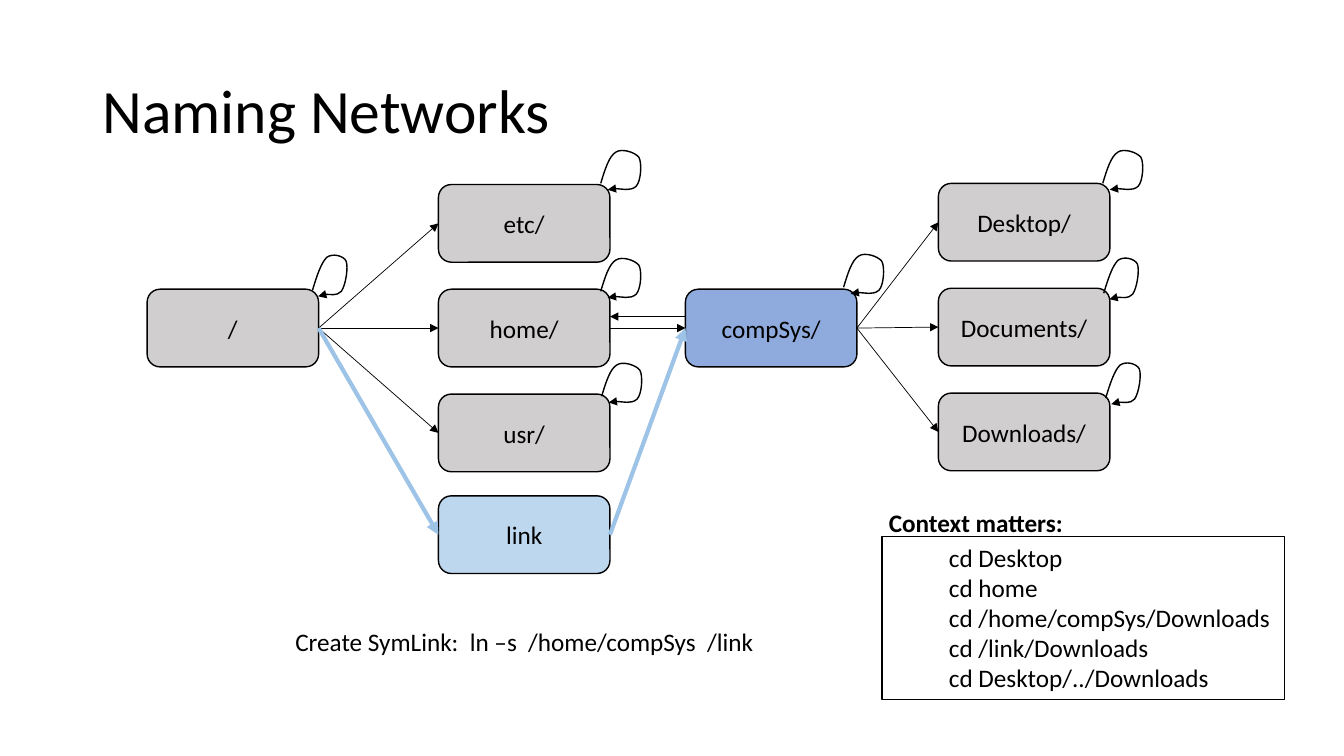
from dataclasses import dataclass

from lxml.etree import SubElement
from pptx import Presentation
from pptx.dml.color import RGBColor
from pptx.enum.shapes import MSO_CONNECTOR, MSO_SHAPE
from pptx.enum.text import MSO_ANCHOR, MSO_AUTO_SIZE, PP_ALIGN
from pptx.oxml.ns import qn
from pptx.util import Pt


@dataclass(frozen=True)
class Theme:
    font: str = "Calibri"
    ink: str = "000000"
    paper: str = "FFFFFF"
    folder: str = "D0CECE"
    target: str = "8FAADC"
    link: str = "BDD7EE"
    link_line: str = "9DC3E6"
    title: float = 44
    body: float = 18


T = Theme()

TITLE = "Naming Networks"
SYMLINK = "Create SymLink:  ln –s  /home/compSys  /link"
CONTEXT = "Context matters:"
COMMANDS = [
    "cd Desktop",
    "cd home",
    "cd /home/compSys/Downloads",
    "cd /link/Downloads",
    "cd Desktop/../Downloads",
]

# Columns of the graph: left edge, then (name, top, fill)
COLUMNS = [
    (105.1, [("/", 206.6, T.folder)]),
    (313.2, [("etc/", 131.8, T.folder), ("home/", 206.6, T.folder),
             ("usr/", 281.5, T.folder), ("link", 354.2, T.link)]),
    (489.6, [("compSys/", 206.6, T.target)]),
    (670.3, [("Desktop/", 131, T.folder), ("Documents/", 205.9, T.folder),
             ("Downloads/", 280.8, T.folder)]),
]
NODE_W, NODE_H = 122.5, 55.5

EDGES = [("/", "etc/"), ("/", "home/"), ("/", "usr/"), ("home/", "compSys/"),
         ("compSys/", "Desktop/"), ("compSys/", "Documents/"),
         ("compSys/", "Downloads/")]
LINK_EDGES = [("link", "compSys/"), ("/", "link")]
BACK_EDGE = ("compSys/", "home/")
BACK_DROP = 19.5

# Bezier points of a self-reference, measured from its start
WIDE = [(3, -10), (6, -19.5), (10.8, -22.3), (15, -25.2), (24.5, -22.3), (27.3, -18.5),
        (29.5, -14.4), (28.8, -1.5), (25.2, 2.2), (21, 5.8), (5, 2.2), (5, 4.5)]
NARROW = [(3, -10), (6.3, -20), (10.3, -23.6), (14.4, -26.6), (22, -24.8), (24, -20.9),
          (25.7, -16.8), (23.8, -3.6), (20.6, 0.7), (17.3, 4.3), (4.3, 1.6), (4, 4.3)]
LOOPS = [
    (223.2, 207.4, NARROW),
    (429.1, 131, WIDE),
    (429.1, 208.1, WIDE),
    (429.8, 283, WIDE),
    (602.6, 205.2, WIDE),
    (787.7, 131, WIDE),
    (788.4, 209.5, NARROW),
    (789.8, 284.4, NARROW),
]


def rgb(color):
    return RGBColor.from_string(color)


def box(*lengths):
    return [Pt(v) for v in lengths]


def write(sp, lines, size=T.body, bold=False, align=PP_ALIGN.LEFT,
          anchor=MSO_ANCHOR.TOP, wrap=True, indent=0, spacing=None):
    tf = sp.text_frame
    tf.auto_size = MSO_AUTO_SIZE.NONE
    tf.word_wrap = wrap
    tf.vertical_anchor = anchor
    for i, line in enumerate(lines):
        p = tf.add_paragraph() if i else tf.paragraphs[0]
        p.alignment = align
        if indent:
            p._p.get_or_add_pPr().set("marL", str(Pt(indent)))
        if spacing:
            p.line_spacing = spacing
        r = p.add_run()
        r.text = line
        r.font.name = T.font
        r.font.size = Pt(size)
        r.font.bold = bold
        r.font.color.rgb = rgb(T.ink)


def add_arrowhead(sp):
    SubElement(sp.line._get_or_add_ln(), qn("a:tailEnd"), type="triangle")


def add_arrow(shapes, start, end, color=T.ink, width=0.5):
    c = shapes.add_connector(MSO_CONNECTOR.STRAIGHT, *box(*start, *end))
    c.line.color.rgb = rgb(color)
    c.line.width = Pt(width)
    add_arrowhead(c)
    SubElement(c._element.spPr, qn("a:effectLst"))
    return c


def add_edge(shapes, source, dest, **style):
    c = add_arrow(shapes, (0, 0), (0, 0), **style)
    c.begin_connect(source, 3)
    c.end_connect(dest, 1)


def add_node(shapes, name, left, top, fill):
    sp = shapes.add_shape(MSO_SHAPE.ROUNDED_RECTANGLE, *box(left, top, NODE_W, NODE_H))
    sp.shadow.inherit = False
    sp.fill.solid()
    sp.fill.fore_color.rgb = rgb(fill)
    sp.line.color.rgb = rgb(T.ink)
    sp.line.width = Pt(1)
    write(sp, [name], align=PP_ALIGN.CENTER, anchor=MSO_ANCHOR.MIDDLE)
    return sp


def add_loop(shapes, x, y, offsets):
    """Draw a curved arrow, turning each three straight steps into one Bezier."""
    fb = shapes.build_freeform(Pt(x), Pt(y))
    fb.add_line_segments([box(x + dx, y + dy) for dx, dy in offsets], close=False)
    sp = fb.convert_to_shape()
    steps = list(sp._element.iter(qn("a:lnTo")))
    outline = steps[0].getparent()
    for i in range(0, len(steps), 3):
        curve = SubElement(outline, qn("a:cubicBezTo"))
        for step in steps[i:i + 3]:
            curve.append(step[0])
            outline.remove(step)
    sp.shadow.inherit = False
    sp.fill.background()
    sp.line.color.rgb = rgb(T.ink)
    sp.line.width = Pt(1)
    add_arrowhead(sp)


def main():
    prs = Presentation()
    prs.slide_width, prs.slide_height = box(960, 540)
    slide = prs.slides.add_slide(prs.slide_layouts[5])
    shapes = slide.shapes

    title = shapes.title
    title.left, title.top, title.width, title.height = box(66, 28.8, 828, 104.4)
    write(title, [TITLE], size=T.title, anchor=MSO_ANCHOR.MIDDLE, spacing=0.9)

    nodes = {name: add_node(shapes, name, left, top, fill)
             for left, column in COLUMNS for name, top, fill in column}
    for source, dest in EDGES:
        add_edge(shapes, nodes[source], nodes[dest])
    source, dest = (nodes[name] for name in BACK_EDGE)
    y = source.top.pt + BACK_DROP
    add_arrow(shapes, (source.left.pt, y), (dest.left.pt + NODE_W, y))
    for loop in LOOPS:
        add_loop(shapes, *loop)
    for source, dest in LINK_EDGES:
        add_edge(shapes, nodes[source], nodes[dest], color=T.link_line, width=3)

    symlink = shapes.add_textbox(*box(203.9, 443.5, 352.8, 29))
    symlink.fill.solid()
    symlink.fill.fore_color.rgb = rgb(T.paper)
    write(symlink, [SYMLINK], wrap=False)

    commands = shapes.add_textbox(*box(630, 383.5, 287.3, 116.5))
    commands.line.color.rgb = rgb(T.ink)
    commands.line.width = Pt(0.75)
    write(commands, COMMANDS, indent=40.7)

    context = shapes.add_textbox(*box(627.8, 358.6, 140.4, 29))
    write(context, [CONTEXT], bold=True, wrap=False)

    prs.save("out.pptx")


if __name__ == "__main__":
    main()
